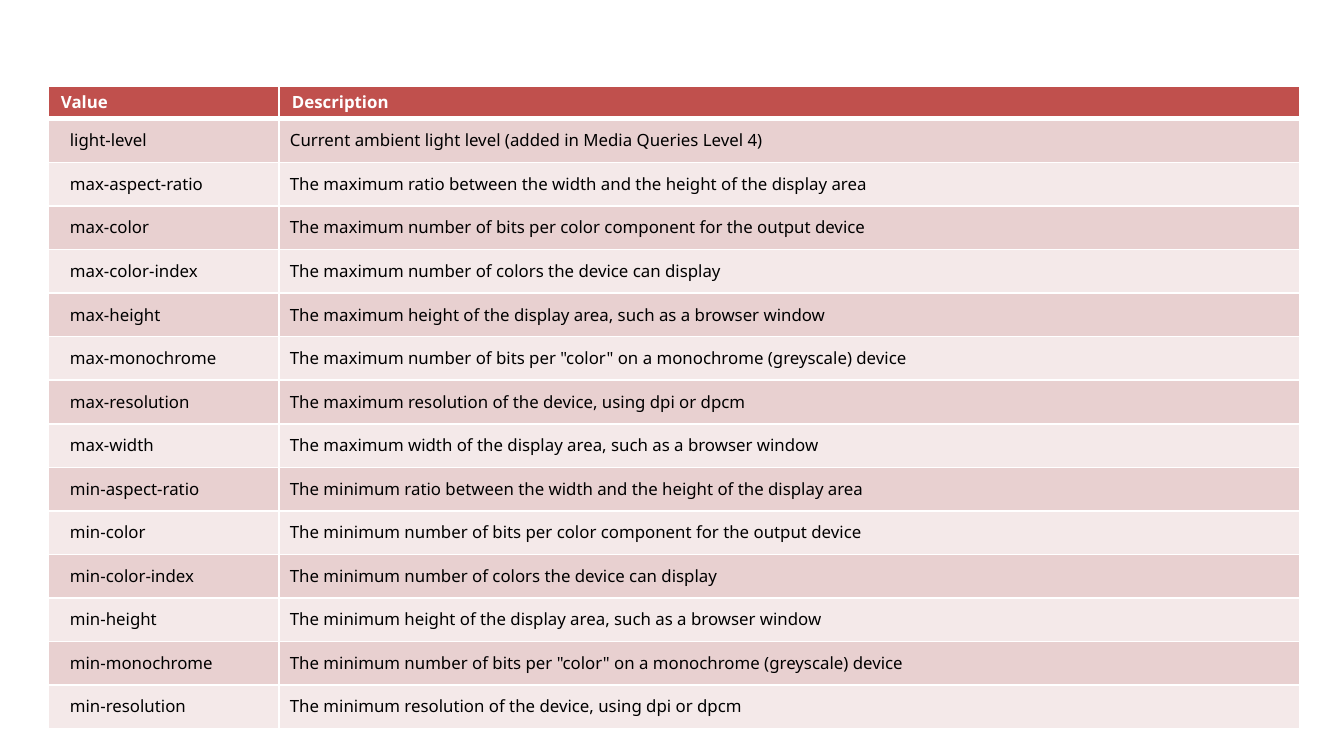
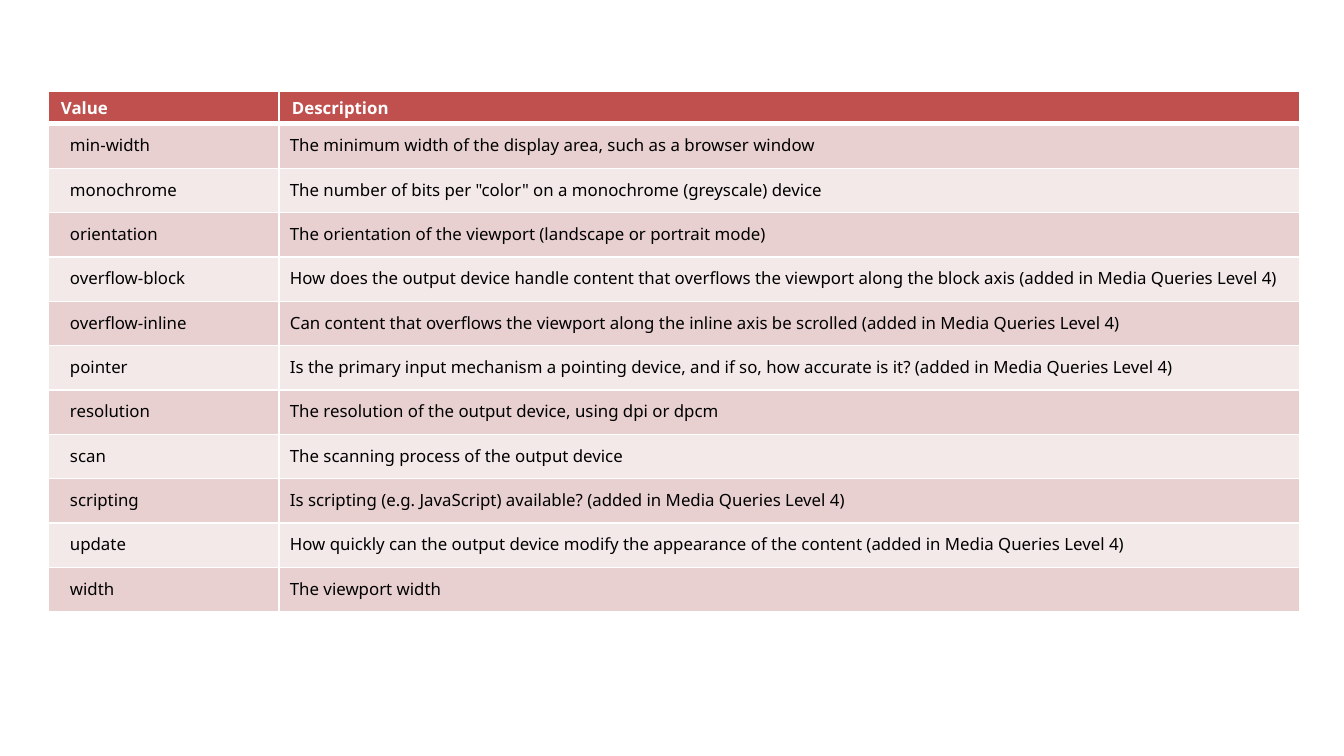
"""Build two slides that list the CSS media feature values in tables."""
from lxml.etree import SubElement
from pptx import Presentation
from pptx.dml.color import RGBColor
from pptx.enum.text import MSO_ANCHOR
from pptx.oxml.ns import qn
from pptx.util import Pt

PX = 914400 / 134.4
FONT = "Noto Sans"
WHITE = RGBColor(0xFF, 0xFF, 0xFF)
BLACK = RGBColor(0x00, 0x00, 0x00)
RED = RGBColor(0xC0, 0x50, 0x4D)
BANDS = [RGBColor(0xE8, 0xD0, 0xD0), RGBColor(0xF4, 0xE9, 0xE9)]
LEFT, COLS, HEADER_H = 48, [231, 1021], 33
HEADER = ("Value", "Description")

TABLES = [
    (86, 610, [
        ("light-level", "Current ambient light level (added in Media Queries Level 4)"),
        ("max-aspect-ratio", "The maximum ratio between the width and the height of the display area"),
        ("max-color", "The maximum number of bits per color component for the output device"),
        ("max-color-index", "The maximum number of colors the device can display"),
        ("max-height", "The maximum height of the display area, such as a browser window"),
        ("max-monochrome", 'The maximum number of bits per "color" on a monochrome (greyscale) device'),
        ("max-resolution", "The maximum resolution of the device, using dpi or dpcm"),
        ("max-width", "The maximum width of the display area, such as a browser window"),
        ("min-aspect-ratio", "The minimum ratio between the width and the height of the display area"),
        ("min-color", "The minimum number of bits per color component for the output device"),
        ("min-color-index", "The minimum number of colors the device can display"),
        ("min-height", "The minimum height of the display area, such as a browser window"),
        ("min-monochrome", 'The minimum number of bits per "color" on a monochrome (greyscale) device'),
        ("min-resolution", "The minimum resolution of the device, using dpi or dpcm"),
    ]),
    (91, 488, [
        ("min-width", "The minimum width of the display area, such as a browser window"),
        ("monochrome", 'The number of bits per "color" on a monochrome (greyscale) device'),
        ("orientation", "The orientation of the viewport (landscape or portrait mode)"),
        ("overflow-block", "How does the output device handle content that overflows the viewport "
                           "along the block axis (added in Media Queries Level 4)"),
        ("overflow-inline", "Can content that overflows the viewport along the inline axis "
                            "be scrolled (added in Media Queries Level 4)"),
        ("pointer", "Is the primary input mechanism a pointing device, and if so, "
                    "how accurate is it? (added in Media Queries Level 4)"),
        ("resolution", "The resolution of the output device, using dpi or dpcm"),
        ("scan", "The scanning process of the output device"),
        ("scripting", "Is scripting (e.g. JavaScript) available? (added in Media Queries Level 4)"),
        ("update", "How quickly can the output device modify the appearance "
                   "of the content (added in Media Queries Level 4)"),
        ("width", "The viewport width"),
    ]),
]


def px(n):
    return round(n * PX)


def set_borders(cell, top, bottom):
    tcPr = cell._tc.get_or_add_tcPr()
    for side, width in (("L", 1), ("R", 1), ("T", top), ("B", bottom)):
        ln = SubElement(tcPr, qn(f"a:ln{side}"), w=str(Pt(width)))
        fill = SubElement(ln, qn("a:solidFill"))
        SubElement(fill, qn("a:srgbClr"), val=str(WHITE))


prs = Presentation()
prs.slide_width, prs.slide_height = px(1344), px(756)

for top, body_h, entries in TABLES:
    s = prs.slides.add_slide(prs.slide_layouts[6])
    rows = [HEADER] + entries
    table = s.shapes.add_table(len(rows), len(COLS), px(LEFT), px(top),
                               px(sum(COLS)), px(HEADER_H + body_h)).table
    for column, width in zip(table.columns, COLS):
        column.width = px(width)
    for i, row in enumerate(rows):
        head = i == 0
        table.rows[i].height = px(HEADER_H if head else body_h / len(entries))
        for j, text in enumerate(row):
            cell = table.cell(i, j)
            set_borders(cell, 3 if i == 1 else 1, 3 if head else 1)
            cell.fill.solid()
            cell.fill.fore_color.rgb = RED if head else BANDS[(i - 1) % 2]
            cell.vertical_anchor = MSO_ANCHOR.MIDDLE if head else MSO_ANCHOR.TOP
            cell.margin_left = px(13 if head else [22, 11][j])
            cell.margin_right = px(13 if head else 11)
            cell.margin_top = cell.margin_bottom = px(4 if head else 10)
            cell.text = text
            font = cell.text_frame.paragraphs[0].font
            font.name, font.size, font.bold = FONT, Pt(9), head
            font.color.rgb = WHITE if head else BLACK

prs.save("out.pptx")
